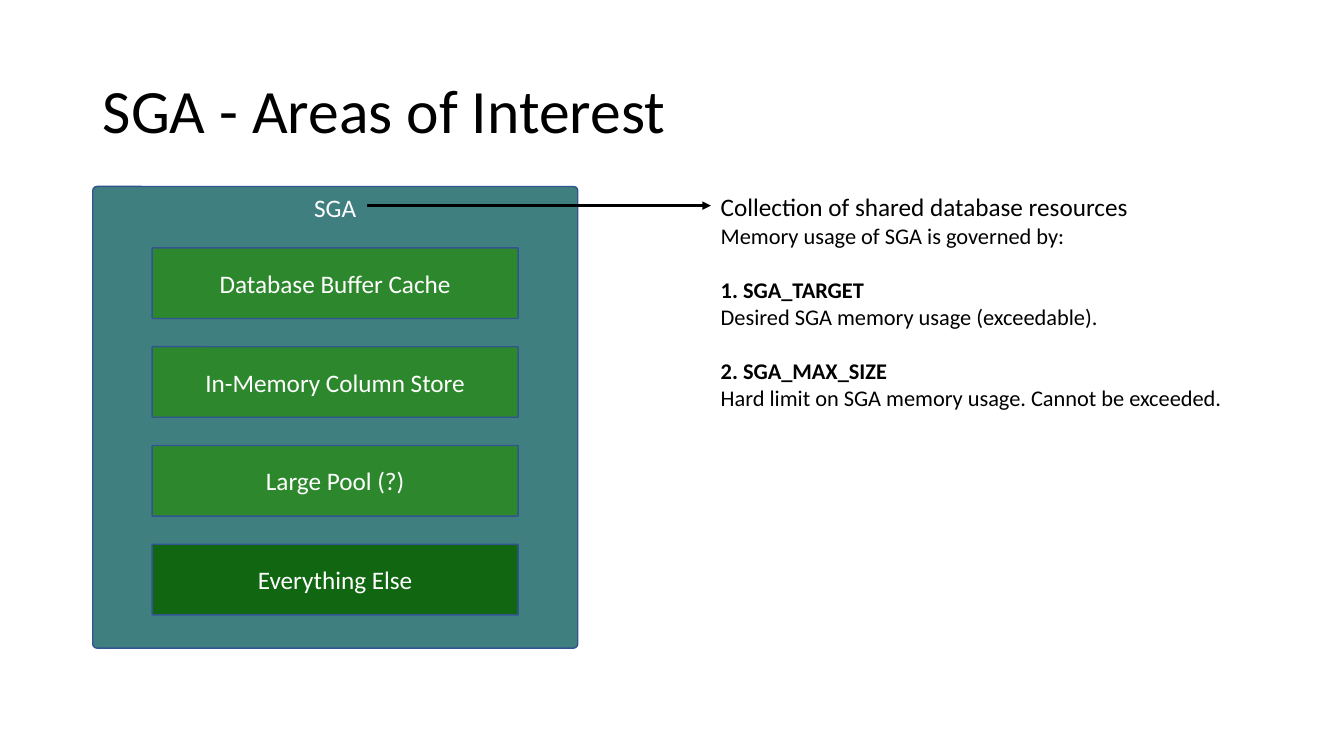
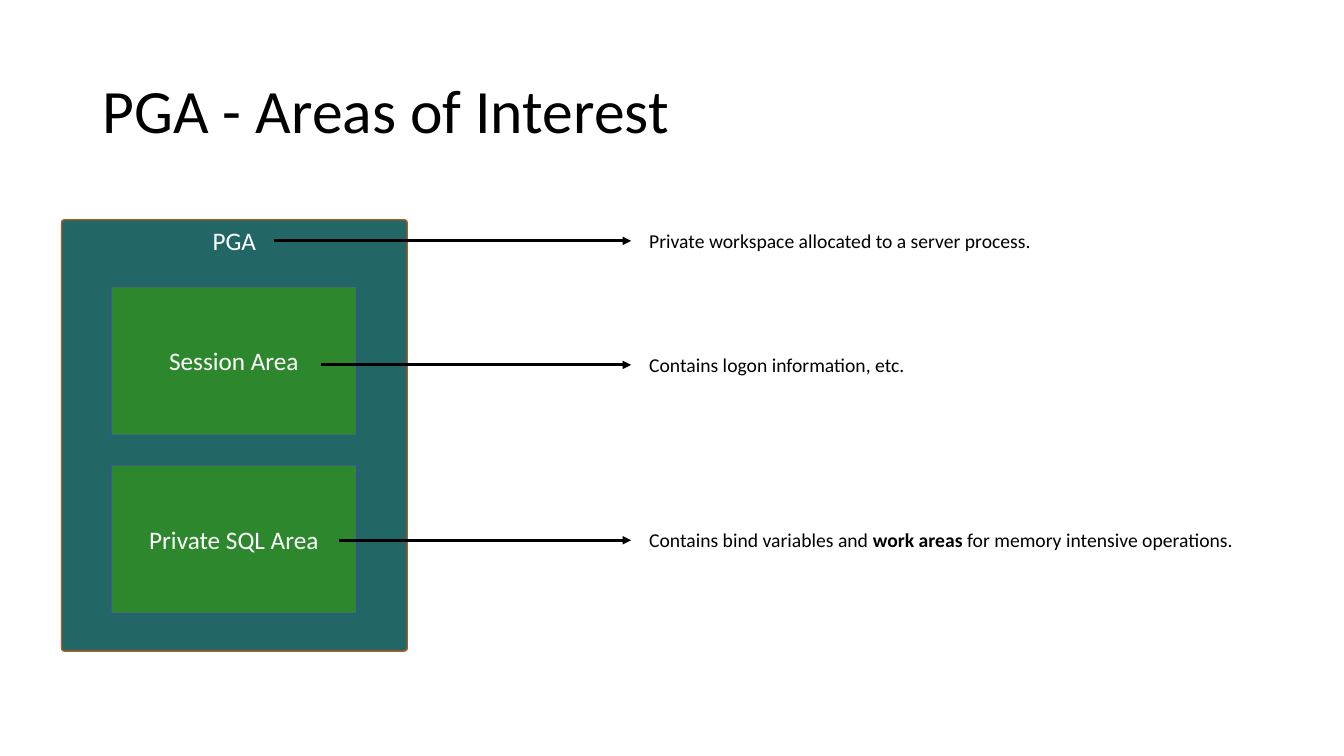
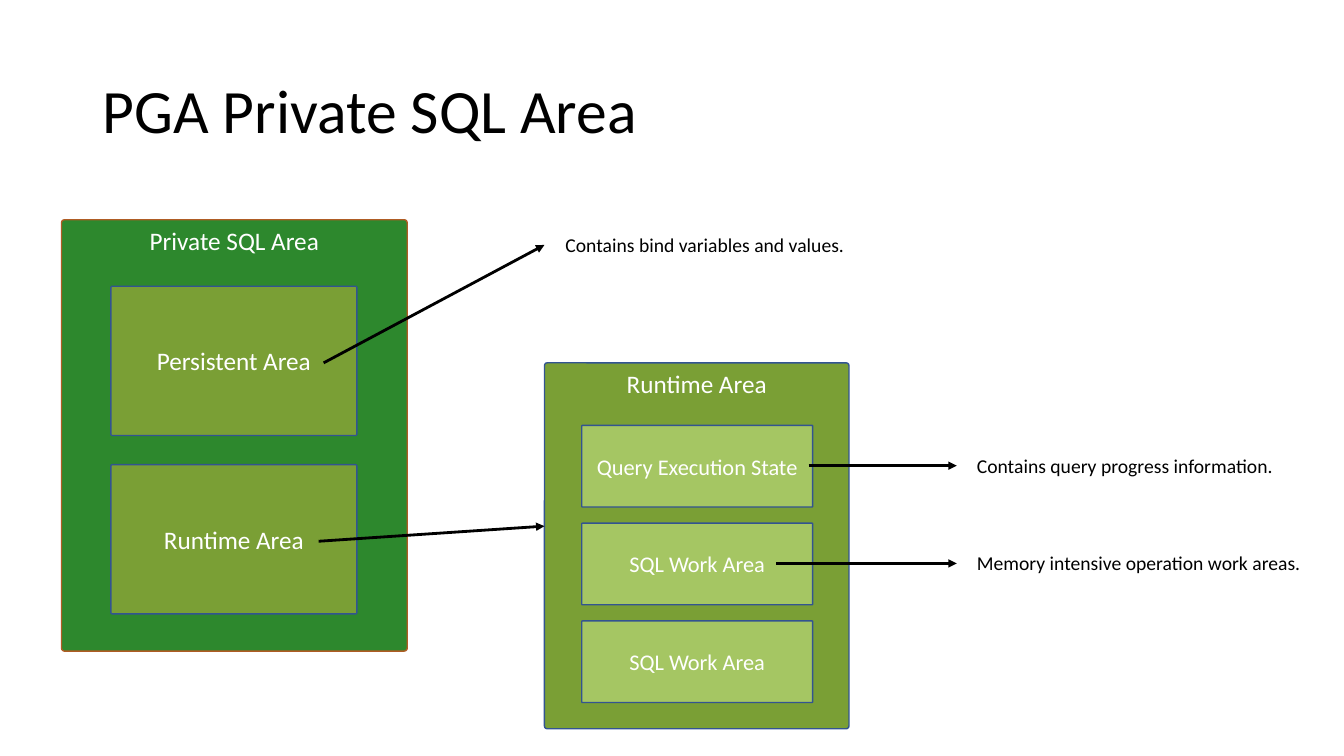
from lxml import etree
from pptx import Presentation
from pptx.dml.color import RGBColor
from pptx.enum.shapes import MSO_CONNECTOR, MSO_SHAPE
from pptx.enum.text import MSO_ANCHOR, MSO_AUTO_SIZE, PP_ALIGN
from pptx.oxml.ns import qn
from pptx.util import Inches, Pt

ROUNDED = MSO_SHAPE.ROUNDED_RECTANGLE
STRAIGHT = MSO_CONNECTOR.STRAIGHT
TOP, MIDDLE = MSO_ANCHOR.TOP, MSO_ANCHOR.MIDDLE
LEFT, CENTER = PP_ALIGN.LEFT, PP_ALIGN.CENTER
NO_FIT, GROW = MSO_AUTO_SIZE.NONE, MSO_AUTO_SIZE.SHAPE_TO_FIT_TEXT

FONT = "Calibri"
BLACK, WHITE = "000000", "FFFFFF"
BLUE, ORANGE = "325491", "AF5C24"
TEAL, DARK_TEAL = "407F7F", "226666"
GREEN, DARK_GREEN = "2D882D", "116611"
OLIVE, LIME = "7A9F35", "A5C663"


def style(font, size, color):
    font.name = FONT
    font.size = Pt(size)
    font.color.rgb = RGBColor.from_string(color)


def add_box(s, label, at, fill, line, size, anchor):
    sp = s.shapes.add_shape(ROUNDED, *[Inches(v) for v in at])
    sp.adjustments[0] = 0.009
    sp.shadow.inherit = False
    sp.fill.solid()
    sp.fill.fore_color.rgb = RGBColor.from_string(fill)
    sp.line.color.rgb = RGBColor.from_string(line)
    sp.line.width = Pt(1)
    tf = sp.text_frame
    tf.word_wrap = True
    tf.vertical_anchor = anchor
    p = tf.paragraphs[0]
    p.text = label
    p.alignment = CENTER
    style(p.font, size, WHITE)


LEFT_PANEL = (0.61, 2.18, 3.43, 4.28)
LEFT_AREA = (1.1, 2.84, 2.44, 1.48)

# panels: label, position, fill, line, first area, pitch, text size, areas
# notes: position, paragraphs of (size, space before, text with *bold* parts)
slides = [
    {
        "title": "SGA - Areas of Interest",
        "panels": [
            ("SGA", (0.92, 1.85, 4.81, 4.58), TEAL, BLUE, (1.51, 2.46, 3.63, 0.7), 0.98, 18, [
                ("Database Buffer Cache", GREEN),
                ("In-Memory Column Store", GREEN),
                ("Large Pool (?)", GREEN),
                ("Everything Else", DARK_GREEN),
            ]),
        ],
        "arrows": [(3.64, 2.04, 7.05, 2.04)],
        "notes": [
            ((7.05, 1.85, 5.32, 2.83), [
                (18, 0, "Collection of shared database resources"),
                (16, 0, "Memory usage of SGA is governed by:"),
                (16, 19.5, "*1. SGA_TARGET*"),
                (16, 0, "Desired SGA memory usage (exceedable)."),
                (16, 19.5, "*2. SGA_MAX_SIZE*"),
                (16, 0, "Hard limit on SGA memory usage. Cannot be exceeded."),
            ]),
        ],
    },
    {
        "title": "PGA - Areas of Interest",
        "panels": [
            ("PGA", LEFT_PANEL, DARK_TEAL, ORANGE, LEFT_AREA, 1.77, 18, [
                ("Session Area", GREEN),
                ("Private SQL Area", GREEN),
            ]),
        ],
        "arrows": [
            (2.72, 2.39, 6.26, 2.39),
            (3.18, 3.62, 6.26, 3.62),
            (3.36, 5.36, 6.26, 5.36),
        ],
        "notes": [
            ((6.34, 2.22, 4.02, 0.34), [(14, 0, "Private workspace allocated to a server process.")]),
            ((6.34, 3.45, 2.76, 0.34), [(14, 0, "Contains logon information, etc.")]),
            ((6.34, 5.19, 6.04, 0.34), [
                (14, 0, "Contains bind variables and *work areas *for memory intensive operations."),
            ]),
        ],
    },
    {
        "title": "PGA Private SQL Area",
        "panels": [
            ("Runtime Area", (5.4, 3.6, 3.02, 3.63), OLIVE, BLUE, (5.77, 4.22, 2.29, 0.81), 0.97, 16, [
                ("Query Execution State", LIME),
                ("SQL Work Area", LIME),
                ("SQL Work Area", LIME),
            ]),
            ("Private SQL Area", LEFT_PANEL, GREEN, ORANGE, LEFT_AREA, 1.77, 18, [
                ("Persistent Area", OLIVE),
                ("Runtime Area", OLIVE),
            ]),
        ],
        "arrows": [
            (8.02, 4.62, 9.49, 4.62),
            (7.7, 5.59, 9.49, 5.59),
            (3.21, 3.6, 5.4, 2.43),
            (3.16, 5.37, 5.4, 5.22),
        ],
        "notes": [
            ((5.51, 2.26, 3, 0.34), [(14, 0, "Contains bind variables and values.")]),
            ((9.59, 4.45, 3.17, 0.34), [(14, 0, "Contains query progress information.")]),
            ((9.59, 5.42, 3.44, 0.34), [(14, 0, "Memory intensive operation work areas.")]),
        ],
    },
]

prs = Presentation()
prs.slide_width = Inches(13.33)
prs.slide_height = Inches(7.5)
layout = prs.slide_layouts[5]
title = layout.placeholders[0]
title.left, title.top = Inches(0.92), Inches(0.4)
title.width, title.height = Inches(11.5), Inches(1.45)

for content in slides:
    s = prs.slides.add_slide(layout)
    tf = s.shapes.title.text_frame
    tf.auto_size = NO_FIT
    tf.vertical_anchor = MIDDLE
    p = tf.paragraphs[0]
    p.text = content["title"]
    p.alignment = LEFT
    p.line_spacing = 0.9
    style(p.font, 44, BLACK)

    for label, at, fill, line, (x, y, w, h), pitch, size, areas in content["panels"]:
        add_box(s, label, at, fill, line, 18, TOP)
        for i, (area, area_fill) in enumerate(areas):
            add_box(s, area, (x, y + i * pitch, w, h), area_fill, BLUE, size, MIDDLE)

    for ends in content["arrows"]:
        cx = s.shapes.add_connector(STRAIGHT, *[Inches(v) for v in ends])
        cx.line.color.rgb = RGBColor.from_string(BLACK)
        cx.line.width = Pt(2)
        etree.SubElement(cx.line._get_or_add_ln(), qn("a:tailEnd"), type="triangle")
        etree.SubElement(cx._element.spPr, qn("a:effectLst"))

    for at, paragraphs in content["notes"]:
        tf = s.shapes.add_textbox(*[Inches(v) for v in at]).text_frame
        tf.word_wrap = False
        tf.auto_size = GROW
        for i, (size, before, text) in enumerate(paragraphs):
            p = tf.add_paragraph() if i else tf.paragraphs[0]
            if before:
                p.space_before = Pt(before)
            style(p.font, size, BLACK)
            for j, part in enumerate(text.split("*")):
                if part:
                    r = p.add_run()
                    r.text = part
                    if j % 2:
                        r.font.bold = True

prs.save("out.pptx")
